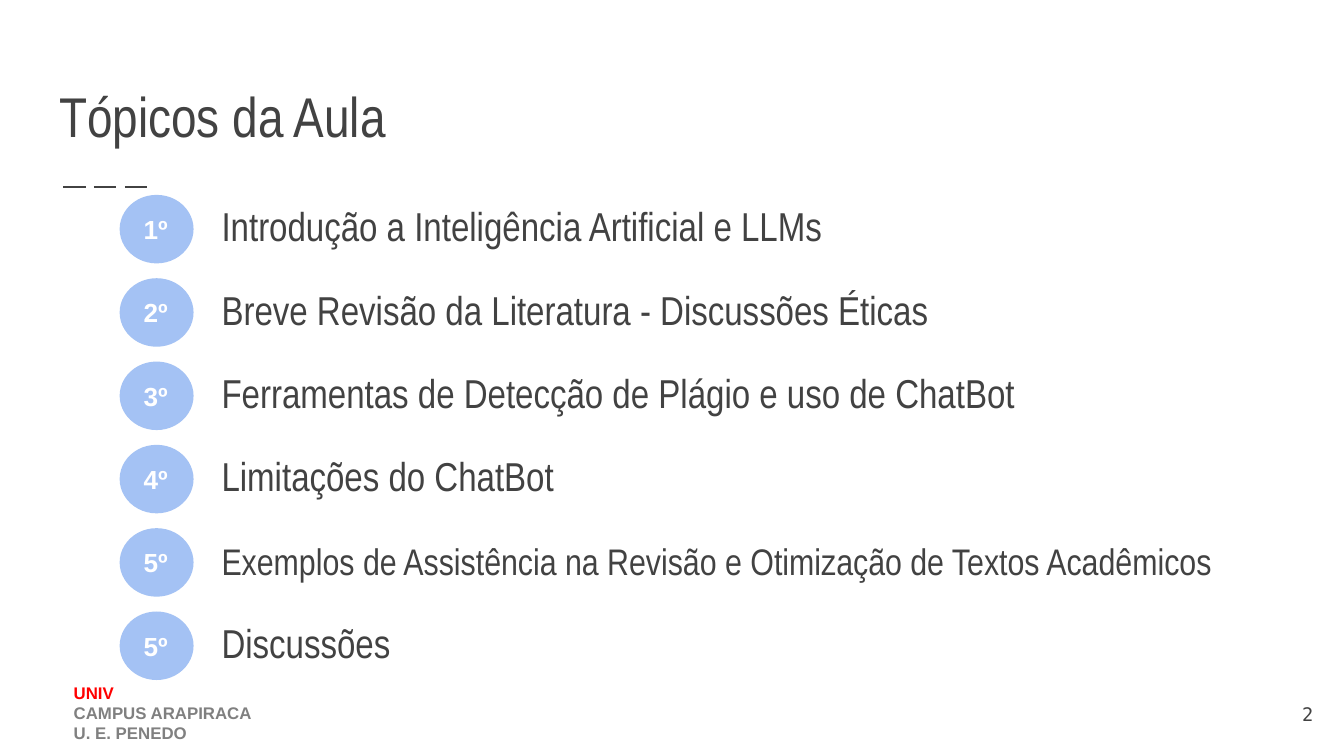
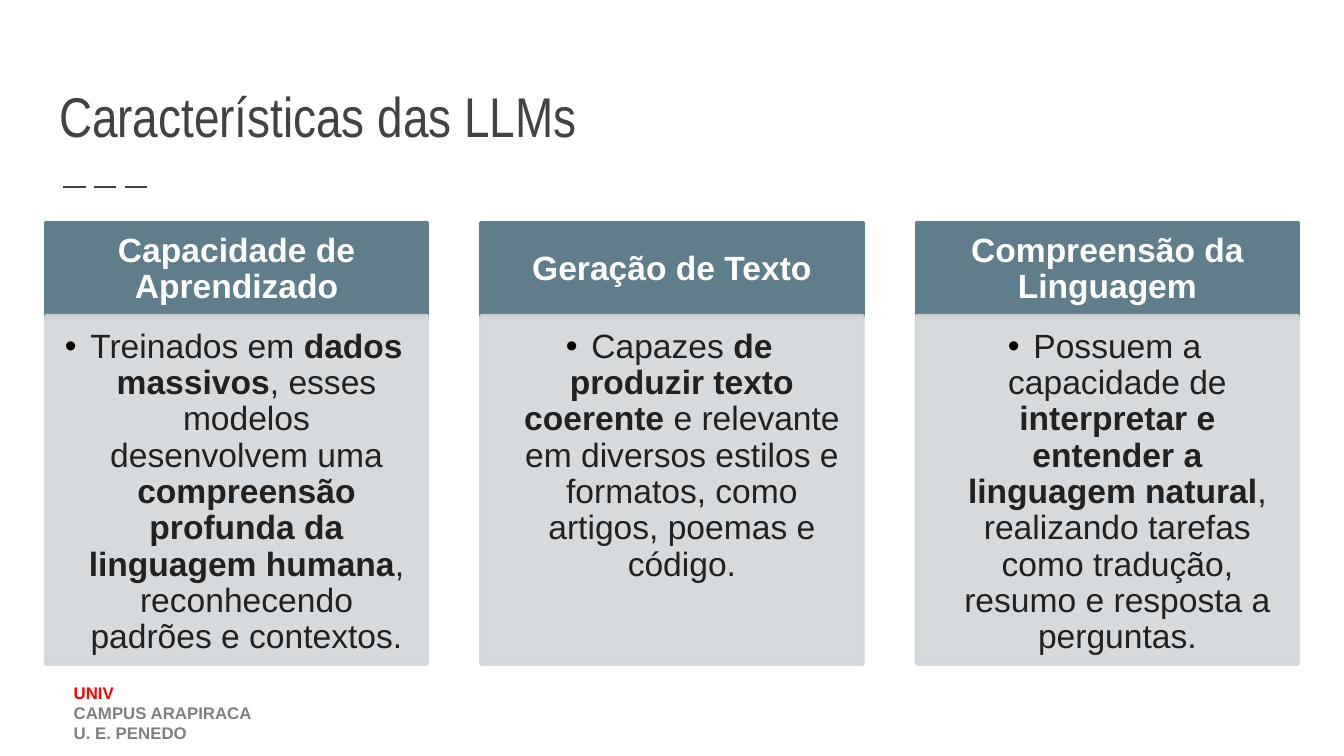
import pptx
import pptx.util
import pptx.dml.color
import pptx.enum.dml
import pptx.enum.shapes
import pptx.enum.text
import pptx.oxml
import pptx.oxml.ns
import lxml.etree as etree

Pt = pptx.util.Pt
qn = pptx.oxml.ns.qn
ALIGN = pptx.enum.text.PP_ALIGN
ANCHOR = pptx.enum.text.MSO_ANCHOR
SHAPE = pptx.enum.shapes.MSO_SHAPE

# A 16:9 slide on a square grid, 100 columns wide
W = pptx.util.Inches(10)
H = W * 9 // 16
UNIT = W / 100
LEFT, WIDTH = 3.4, 93.2

COLORS = {
    "ink": "424242", "body": "212121", "white": "FFFFFF", "bullet": "000000",
    "red": "FF0000", "gray": "808080", "circle": "A4C2F4",
    "header": "607D8B", "panel": "D2D7DA",
}
SANS, NARROW, MONO = "Arial", "Arial Narrow", "DejaVu Sans Mono"

# Items of the agenda: number, text, size, line spacing
TOPICS = [
    ("1º", "Introdução a Inteligência Artificial e LLMs", 21.6, 1),
    ("2º", "Breve Revisão da Literatura - Discussões Éticas", 21.6, 1),
    ("3º", "Ferramentas de Detecção de Plágio e uso de ChatBot", 21.6, 1),
    ("4º", "Limitações do ChatBot", 21.6, 1),
    ("5º", "Exemplos de Assistência na Revisão e Otimização de Textos Acadêmicos", 19.8, 0.9),
    ("5º", "Discussões", 21.6, 0.8),
]

# Cards: heading and runs, which alternate between regular and bold
CARDS = [
    ("Capacidade de Aprendizado",
     ["Treinados em ", "dados massivos", ", esses modelos desenvolvem uma ",
      "compreensão profunda da linguagem humana",
      ", reconhecendo padrões e contextos."]),
    ("Geração de Texto",
     ["Capazes ", "de produzir texto coerente ",
      "e relevante em diversos estilos e formatos, como artigos, poemas e código."]),
    ("Compreensão da Linguagem",
     ["Possuem a capacidade de ", "interpretar e entender a linguagem natural",
      ", realizando tarefas como tradução, resumo e resposta a perguntas."]),
]


def rgb(name):
    return pptx.dml.color.RGBColor.from_string(COLORS[name])


def box(*cells):
    """Turn left, top, width and height in grid units into lengths."""
    return [round(v * UNIT) for v in cells]


def write(p, text, size=18, font=SANS, color="ink", bold=False, align=ALIGN.LEFT, spacing=1):
    """Add one formatted run to a paragraph."""
    p.alignment, p.line_spacing = align, spacing
    r = p.add_run()
    r.text = text
    r.font.size, r.font.name, r.font.bold = Pt(size), font, bold
    r.font.color.rgb = rgb(color)


def frame(sp, anchor=ANCHOR.MIDDLE, insets=(0.1, 0.1, 0.1, 0.1)):
    """Set up a text frame; insets are left, top, right, bottom."""
    tf = sp.text_frame
    tf.word_wrap = True
    tf.auto_size = pptx.enum.text.MSO_AUTO_SIZE.NONE
    tf.vertical_anchor = anchor
    (tf.margin_left, tf.margin_top,
     tf.margin_right, tf.margin_bottom) = map(pptx.util.Inches, insets)
    return tf


def add_text(s, place, text, anchor=ANCHOR.MIDDLE, **style):
    tf = frame(s.shapes.add_textbox(*box(*place)), anchor)
    write(tf.paragraphs[0], text, **style)


def add_block(s, kind, place, fill, outlined=False, opacity=100):
    sp = s.shapes.add_shape(kind, *box(*place))
    sp.shadow.inherit = False
    sp.fill.solid()
    sp.fill.fore_color.rgb = rgb(fill)
    if outlined:
        sp.line.color.rgb = rgb(fill)
        sp.line.width = Pt(2)
    else:
        sp.line.fill.background()
    if opacity < 100:
        for clr in sp._element.spPr.iter(qn("a:srgbClr")):
            etree.SubElement(clr, qn("a:alpha")).set("val", str(opacity * 1000))
    return sp


def add_bullet(p):
    pPr = p._p.get_or_add_pPr()
    indent = pptx.util.Inches(0.19)
    pPr.set("marL", str(indent))
    pPr.set("indent", str(-indent))
    clr = etree.SubElement(pPr, qn("a:buClr"))
    etree.SubElement(clr, qn("a:srgbClr")).set("val", COLORS["bullet"])
    etree.SubElement(pPr, qn("a:buFont")).set("typeface", SANS)
    etree.SubElement(pPr, qn("a:buChar")).set("char", "•")


def new_slide(prs, title):
    """Slide with the shared title, dashed rule and footer."""
    s = prs.slides.add_slide(prs.slide_layouts[5])
    sp = s.shapes.title
    sp.left, sp.top, sp.width, sp.height = box(LEFT, 4.1, WIDTH, 8)
    write(frame(sp, ANCHOR.BOTTOM).paragraphs[0], title, size=30, font=NARROW)

    x, y, w, _ = box(4.7, 13.92, 6.7, 0)
    rule = s.shapes.add_connector(pptx.enum.shapes.MSO_CONNECTOR.STRAIGHT, x, y, x + w, y)
    rule.line.color.rgb = rgb("ink")
    rule.line.width = Pt(1.5)
    rule.line.dash_style = pptx.enum.dml.MSO_LINE.LONG_DASH
    etree.SubElement(rule._element.spPr, qn("a:effectLst"))

    tf = frame(s.shapes.add_textbox(*box(4.5, 50.3, 45.8, 5.6)), ANCHOR.TOP,
               (0.1, 0.05, 0.1, 0.05))
    footer = [("UNIV", "red"), ("CAMPUS ARAPIRACA", "gray"), ("U. E. PENEDO", "gray")]
    for i, (text, color) in enumerate(footer):
        p = tf.add_paragraph() if i else tf.paragraphs[0]
        write(p, text, size=9, color=color, bold=True)
    return s


def add_topic(s, row, number, text, size, spacing):
    sp = add_block(s, SHAPE.OVAL, (8.9, row, 5.5, 5.1), "circle")
    write(frame(sp).paragraphs[0], number, size=14, color="white", bold=True)
    add_text(s, (15.5, row, 81.1, 5.1), text, anchor=ANCHOR.BOTTOM,
             size=size, font=NARROW, spacing=spacing)


def add_card(s, col, cols, heading, parts):
    style = dict(align=ALIGN.CENTER, spacing=0.9)
    sp = add_block(s, SHAPE.RECTANGLE, (col, 16.6, cols, 6.9), "header", outlined=True)
    tf = frame(sp, insets=(0.14, 0.08, 0.14, 0.08))
    write(tf.paragraphs[0], heading, color="white", bold=True, **style)

    sp = add_block(s, SHAPE.RECTANGLE, (col, 23.5, cols, 25.9), "panel",
                   outlined=True, opacity=90)
    p = frame(sp, ANCHOR.TOP, (0.1, 0.1, 0.14, 0.16)).paragraphs[0]
    p.level = 1
    for i, text in enumerate(parts):
        write(p, text, color="body", bold=i % 2 == 1, **style)
    add_bullet(p)


def main():
    prs = pptx.Presentation()
    prs.slide_width, prs.slide_height = W, H

    # Agenda
    s = new_slide(prs, "Tópicos da Aula")
    for i, topic in enumerate(TOPICS):
        add_topic(s, 14.5 + 6.2 * i, *topic)
    add_text(s, (92.7, 51, 6, 4.3), "2", size=10, font=MONO, align=ALIGN.RIGHT)

    # Three cards across the content width
    s = new_slide(prs, "Características das LLMs")
    gap = 4
    cols = (WIDTH - gap * (len(CARDS) - 1)) / len(CARDS)
    for i, card in enumerate(CARDS):
        add_card(s, LEFT + i * (cols + gap), cols, *card)

    prs.save("out.pptx")


if __name__ == "__main__":
    main()
